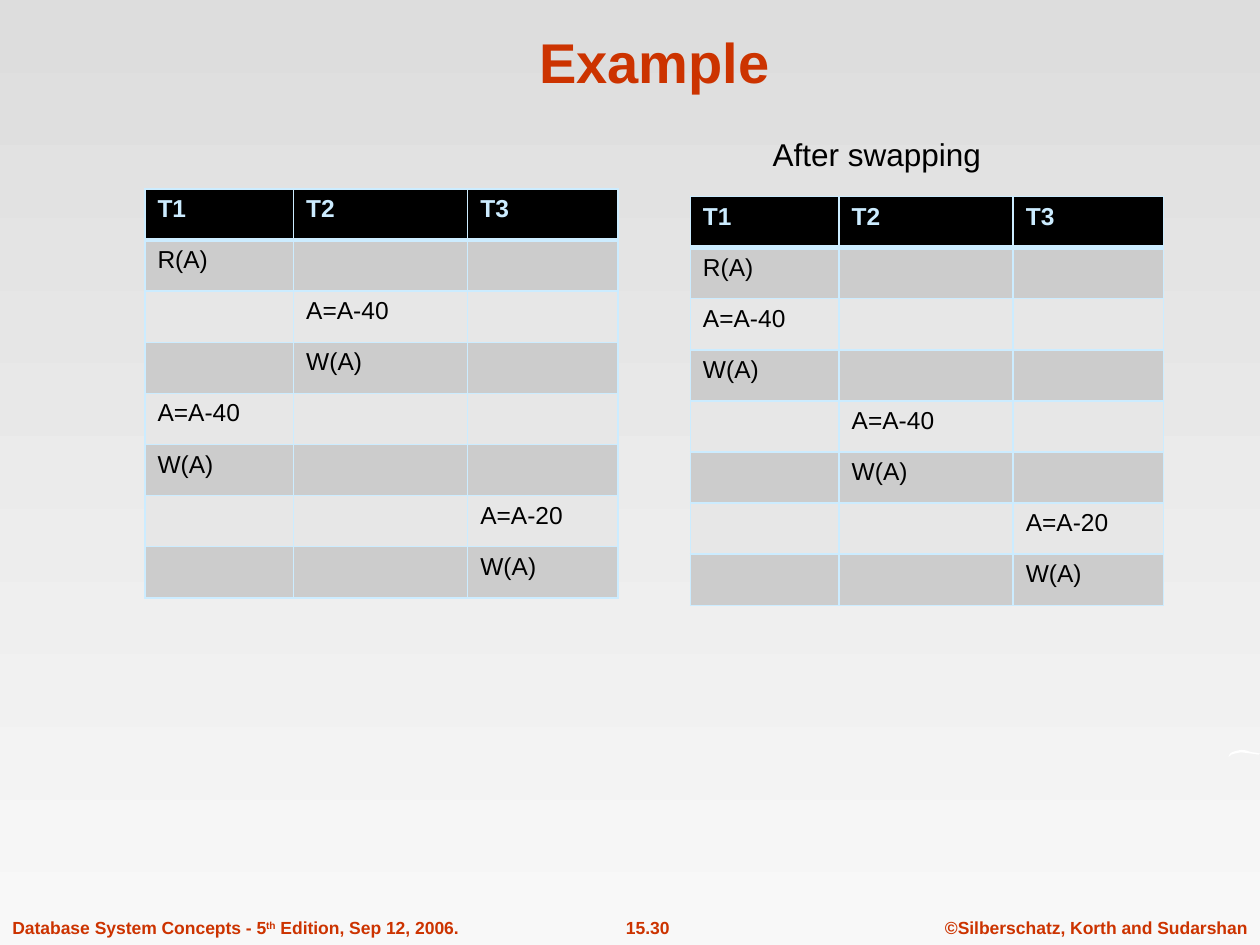
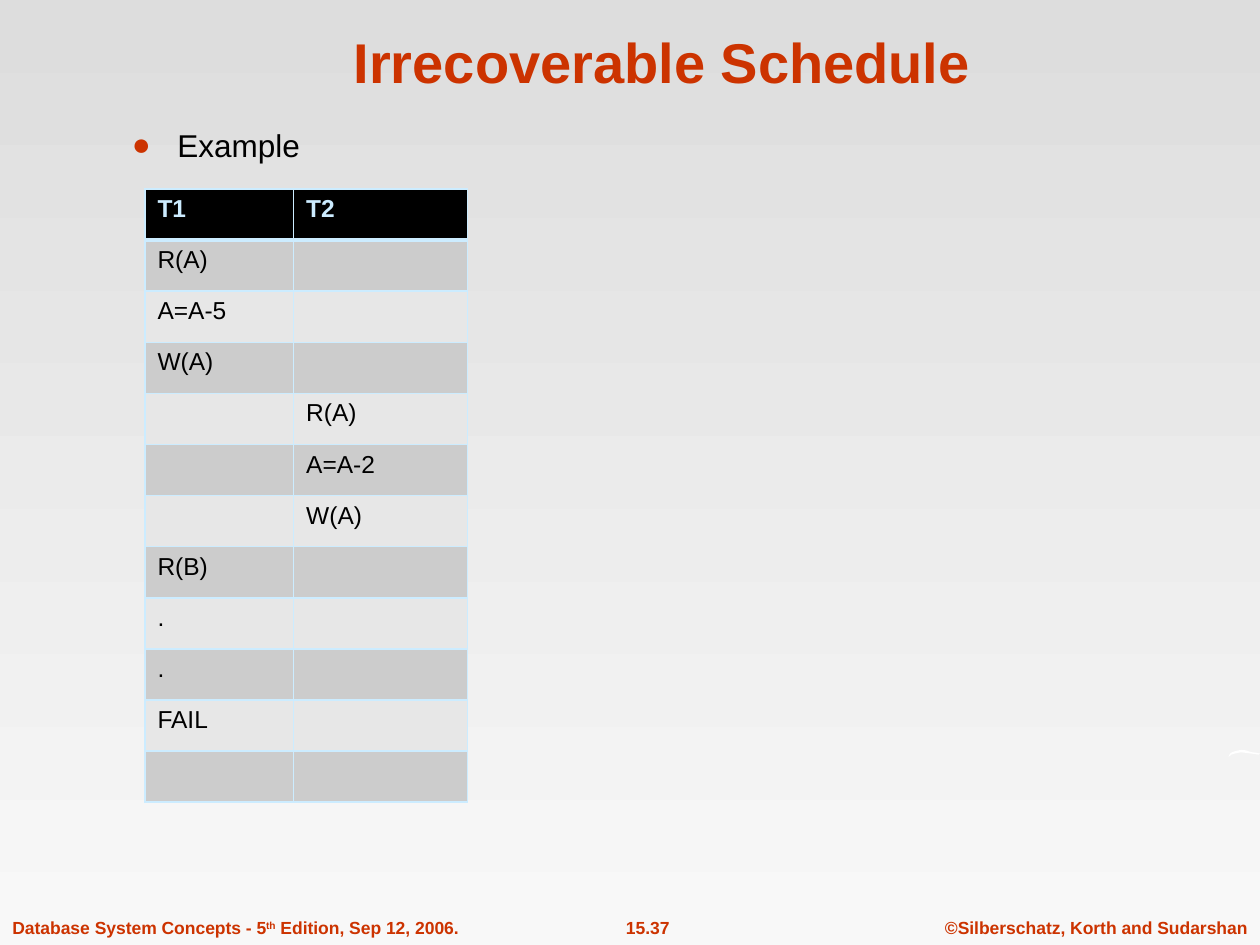
from dataclasses import dataclass

from lxml.etree import SubElement
from pptx import Presentation
from pptx.dml.color import RGBColor
from pptx.enum.text import MSO_ANCHOR as Anchor, MSO_AUTO_SIZE as AutoSize, PP_ALIGN as Align
from pptx.oxml.ns import qn
from pptx.util import Pt


@dataclass(frozen=True)
class Theme:
    font: str = "Arial"
    accent: str = "CC3300"
    ink: str = "000000"
    pale: str = "CCECFF"
    swoosh: str = "FFFFFF"
    bands: tuple = ("E7E7E7", "CCCCCC")
    backdrop: tuple = ("DDDDDD", "F8F8F8")
    title_size: float = 32
    body_size: float = 18
    table_size: float = 14
    footer_size: float = 10
    border: float = 1
    header_border: float = 3


THEME = Theme()
COLUMN_WIDTHS = (85, 99.5, 86)
ROW_HEIGHT = 29.22
FOOTERS = (
    (532.8, 187.2, "©Silberschatz, Korth and Sudarshan", Align.CENTER, False),
    (350, 40.3, "15.{number}", Align.CENTER, False),
    (0, 270.7, "Database System Concepts - 5^th^ Edition, Sep 12, 2006.", Align.LEFT, True),
)
SWOOSH_POINTS = (
    (702, 432.7), (702.7, 430.8), (704.2, 429.8), (706.3, 429.1), (709.2, 428.5),
    (712, 428.8), (715, 429.8), (718, 430.2), (720, 430.6), (719.3, 431.3),
    (717, 430.9), (713, 430.4), (709.2, 429.9), (705.6, 430.6), (703.5, 431.3),
)
INTERLEAVED = (
    (0, "R(A)"), (1, "A=A-40"), (1, "W(A)"), (0, "A=A-40"),
    (0, "W(A)"), (2, "A=A-20"), (2, "W(A)"),
)
SWAPPED = (
    (0, "R(A)"), (0, "A=A-40"), (0, "W(A)"), (1, "A=A-40"),
    (1, "W(A)"), (2, "A=A-20"), (2, "W(A)"),
)
IRRECOVERABLE = (
    (0, "R(A)"), (0, "A=A-5"), (0, "W(A)"), (1, "R(A)"), (1, "A=A-2"), (1, "W(A)"),
    (0, "R(B)"), (0, "."), (0, "."), (0, "FAIL"), (0, ""),
)


def write(frame, text, *, size, color=THEME.ink, bold=False, align=Align.LEFT, bullet=None):
    para = frame.paragraphs[0]
    if bullet:
        props = para._p.get_or_add_pPr()
        props.set("marL", str(Pt(36)))
        props.set("indent", str(Pt(-26)))
        bullet_color = SubElement(props, qn("a:buClr"))
        SubElement(bullet_color, qn("a:srgbClr"), val=THEME.accent)
        SubElement(props, qn("a:buFont"), typeface=THEME.font)
        SubElement(props, qn("a:buChar"), char=bullet)
    para.alignment = align
    for index, piece in enumerate(text.split("^")):
        span = para.add_run()
        span.text = piece
        span.font.name = THEME.font
        span.font.size = Pt(size)
        span.font.bold = bold
        span.font.color.rgb = RGBColor.from_string(color)
        if index % 2:
            span._r.get_or_add_rPr().set("baseline", "30000")


def draw_borders(cell, widths):
    props = cell._tc.get_or_add_tcPr()
    for side, width in widths.items():
        line = SubElement(props, qn(f"a:ln{side}"), w=str(Pt(width)))
        fill = SubElement(line, qn("a:solidFill"))
        SubElement(fill, qn("a:srgbClr"), val=THEME.pale)


class SlideBuilder:
    def __init__(self, deck, theme):
        self.deck = deck
        self.theme = theme
        self.page = None

    def start(self, title, number):
        self.page = self.deck.slides.add_slide(self.deck.slide_layouts[5])
        self.background()
        for left, width, text, align, wrap in FOOTERS:
            self.text(left, 520.6, width, 19.4, text.format(number=number), wrap=wrap,
                      size=self.theme.footer_size, color=self.theme.accent,
                      bold=True, align=align)
        self.swoosh()
        self.title(title)

    def background(self):
        fill = self.page.background.fill
        fill.gradient()
        fill.gradient_angle = 270
        for position, (stop, color) in enumerate(zip(fill.gradient_stops, self.theme.backdrop)):
            stop.position = position
            stop.color.rgb = RGBColor.from_string(color)

    def title(self, text):
        box = self.page.shapes.title
        box.left, box.top, box.width, box.height = Pt(60.5), Pt(9.4), Pt(635.8), Pt(48.2)
        frame = box.text_frame
        frame.auto_size = AutoSize.NONE
        frame.vertical_anchor = Anchor.BOTTOM
        write(frame, text, size=self.theme.title_size, color=self.theme.accent,
              bold=True, align=Align.CENTER)

    def text(self, left, top, width, height, text, wrap=True, **style):
        box = self.page.shapes.add_textbox(Pt(left), Pt(top), Pt(width), Pt(height))
        box.text_frame.word_wrap = wrap
        write(box.text_frame, text, **style)

    def swoosh(self):
        points = [(Pt(x), Pt(y)) for x, y in SWOOSH_POINTS]
        outline = self.page.shapes.build_freeform(*points[0])
        outline.add_line_segments(points[1:], close=True)
        shape = outline.convert_to_shape()
        shape.shadow.inherit = False
        shape.fill.solid()
        shape.fill.fore_color.rgb = RGBColor.from_string(self.theme.swoosh)
        shape.line.fill.background()

    def schedule(self, left, top, column_count, steps):
        widths = COLUMN_WIDTHS[:column_count]
        row_count = len(steps) + 1
        table = self.page.shapes.add_table(
            row_count, column_count, Pt(left), Pt(top),
            Pt(sum(widths)), Pt(ROW_HEIGHT * row_count)).table
        table.horz_banding = False
        for column, width in zip(table.columns, widths):
            column.width = Pt(width)
        for row in table.rows:
            row.height = Pt(ROW_HEIGHT)
        for column in range(column_count):
            self.cell(table.cell(0, column), 0, f"T{column + 1}")
            for row, (owner, operation) in enumerate(steps, 1):
                self.cell(table.cell(row, column), row, operation if owner == column else "")

    def cell(self, cell, row, text):
        theme = self.theme
        is_header = row == 0
        draw_borders(cell, {
            "L": theme.border,
            "R": theme.border,
            "T": theme.header_border if row == 1 else theme.border,
            "B": theme.header_border if is_header else theme.border,
        })
        cell.fill.solid()
        cell.fill.fore_color.rgb = RGBColor.from_string(
            theme.ink if is_header else theme.bands[row % 2])
        if text:
            write(cell.text_frame, text, size=theme.table_size, bold=is_header,
                  color=theme.pale if is_header else theme.ink)


def main():
    deck = Presentation()
    deck.slide_width, deck.slide_height = Pt(720), Pt(540)
    builder = SlideBuilder(deck, THEME)

    builder.start("Example ", 30)
    builder.text(434.5, 73.4, 180, 28, "After swapping", size=THEME.body_size)
    builder.schedule(82.8, 108, 3, INTERLEAVED)
    builder.schedule(394.5, 112.3, 3, SWAPPED)

    builder.start("Irrecoverable Schedule", 37)
    builder.text(58.3, 68.4, 621.4, 28, "Example", size=THEME.body_size, bullet="●")
    builder.schedule(82.8, 108, 2, IRRECOVERABLE)

    deck.save("out.pptx")


if __name__ == "__main__":
    main()
